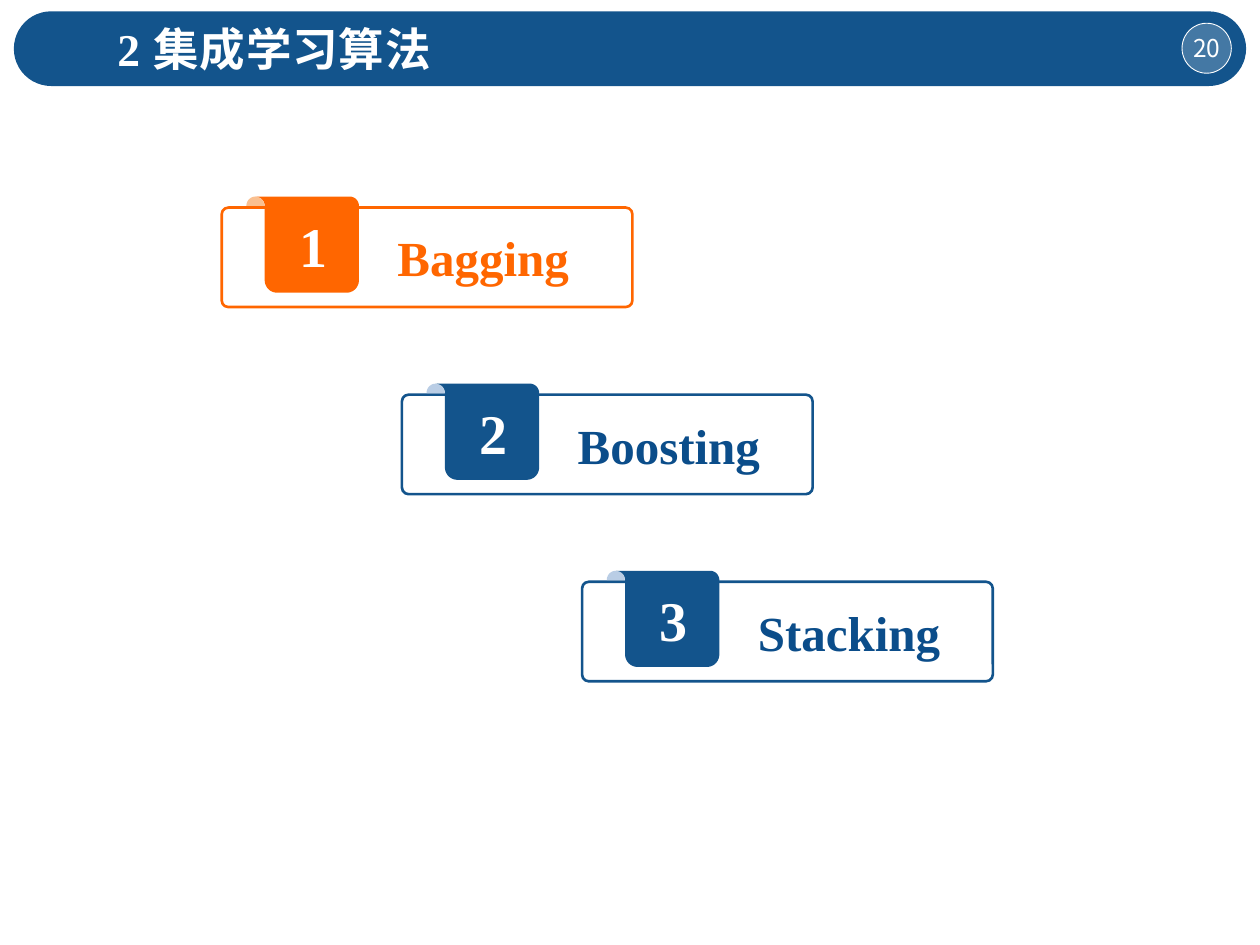
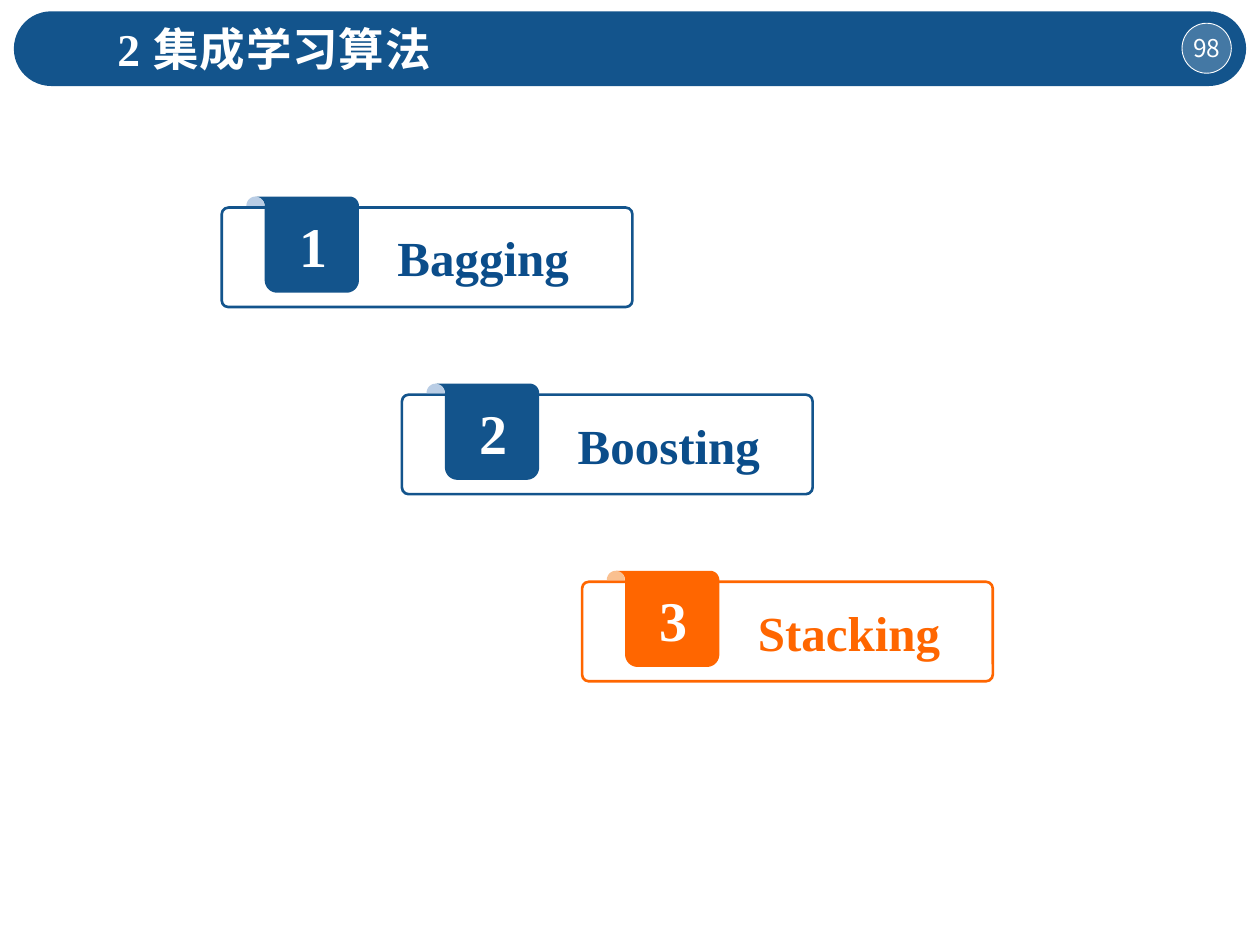
from dataclasses import dataclass
from math import cos, radians, sin

from lxml.etree import SubElement
from pptx import Presentation
from pptx.dml.color import RGBColor
from pptx.enum.shapes import MSO_SHAPE
from pptx.enum.text import MSO_ANCHOR, MSO_AUTO_SIZE, PP_ALIGN
from pptx.oxml.ns import qn
from pptx.util import Inches, Pt

BLUE, LABEL_BLUE, PALE_BLUE = "13548C", "0B4D8A", "B9CDE5"
ORANGE, PALE_ORANGE, WHITE = "FF6600", "FAC090", "FFFFFF"
LATIN_FONT, CHINESE_FONT = "Times New Roman", "Noto Sans CJK SC"

SECTION_TITLE = "2 集成学习算法"
METHODS = ["Bagging", "Boosting", "Stacking"]
# Outline and ribbon, label, curl
NORMAL = (BLUE, LABEL_BLUE, PALE_BLUE)
ACTIVE = (ORANGE, ORANGE, PALE_ORANGE)


@dataclass
class Box:
    left: float
    top: float
    width: float
    height: float

    def inner(self, x, y, width, height):
        """Return an inner box given as shares of this one."""
        return Box(self.left + x * self.width, self.top + y * self.height,
                   width * self.width, height * self.height)

    def lengths(self):
        return [Inches(v) for v in (self.left, self.top, self.width, self.height)]


PAGE = Box(0, 0, 10, 7.5)


def color(hex_string):
    return RGBColor.from_string(hex_string)


def paint(shape, fill, opacity=100, line=None, line_width=1):
    shape.shadow.inherit = False
    shape.fill.solid()
    shape.fill.fore_color.rgb = color(fill)
    if opacity < 100:
        fill_color = shape._element.spPr.find(qn("a:solidFill"))[0]
        SubElement(fill_color, qn("a:alpha"), val=str(opacity * 1000))
    if line:
        shape.line.color.rgb = color(line)
        shape.line.width = Pt(line_width)
    else:
        shape.line.fill.background()


def write(shape, text, size, ink=WHITE, font=LATIN_FONT, bold=True,
          align=PP_ALIGN.LEFT, anchor=MSO_ANCHOR.MIDDLE, wrap=True,
          margins=(0.1, 0.05, 0.1, 0.05)):
    frame = shape.text_frame
    frame.word_wrap = wrap
    frame.vertical_anchor = anchor
    (frame.margin_left, frame.margin_top,
     frame.margin_right, frame.margin_bottom) = [Inches(m) for m in margins]
    paragraph = frame.paragraphs[0]
    paragraph.text = text
    paragraph.alignment = align
    paragraph.font.size = Pt(size)
    paragraph.font.bold = bold
    paragraph.font.name = font
    paragraph.font.color.rgb = color(ink)
    defaults = paragraph._p.pPr.find(qn("a:defRPr"))
    SubElement(defaults, qn("a:ea"), typeface=CHINESE_FONT)
    return defaults


def arc(center_x, center_y, radius_x, radius_y, start, end, steps=12):
    """Points along an ellipse; angles run clockwise from the right."""
    angles = [radians(start + (end - start) * i / steps) for i in range(steps + 1)]
    return [(center_x + radius_x * cos(a), center_y + radius_y * sin(a)) for a in angles]


def add_outline(shapes, points, fill):
    points = [(Inches(x), Inches(y)) for x, y in points]
    builder = shapes.build_freeform(*points[0])
    builder.add_line_segments(points[1:], close=True)
    shape = builder.convert_to_shape()
    paint(shape, fill)
    return shape


def add_header(slide, box, number):
    # Rounded band
    band = slide.shapes.add_shape(MSO_SHAPE.ROUNDED_RECTANGLE, *box.lengths())
    band.adjustments[0] = 0.5
    paint(band, BLUE)

    # Page number badge
    badge = slide.shapes.add_shape(
        MSO_SHAPE.OVAL, *box.inner(0.948, 0.16, 0.04, 0.67).lengths())
    paint(badge, WHITE, opacity=21, line=WHITE, line_width=0.5)
    write(badge, str(number), 14, font=CHINESE_FONT, bold=False,
          align=PP_ALIGN.CENTER, wrap=False, margins=(0, 0, 0, 0))

    # Section title
    title = slide.shapes.add_textbox(*box.inner(0.074, 0.05, 0.759, 0.915).lengths())
    defaults = write(title, SECTION_TITLE, 26, anchor=MSO_ANCHOR.TOP)
    defaults.set("spc", "50")
    title.text_frame.auto_size = MSO_AUTO_SIZE.SHAPE_TO_FIT_TEXT


def add_ribbon(shapes, box, fill):
    fold, corner = 0.09 * box.width, 0.12 * box.width
    right, bottom = box.left + box.width, box.top + box.height
    low = bottom - corner
    points = [(box.left, box.top)]
    points += arc(right - fold, box.top + fold, fold, fold, 270, 360)
    points += arc(right - corner, low, corner, corner, 0, 90)
    points += arc(box.left + fold + corner, low, corner, corner, 90, 180)
    points += arc(box.left, box.top + fold, fold, fold, 360, 270)
    return add_outline(shapes, points, fill)


def add_method_card(slide, box, number, name, colors):
    main_color, label_color, curl_color = colors
    shapes = slide.shapes.add_group_shape().shapes

    # Framed label
    frame = shapes.add_shape(MSO_SHAPE.ROUNDED_RECTANGLE,
                             *box.inner(0, 0.1, 1, 0.9).lengths())
    frame.adjustments[0] = 0.067
    paint(frame, WHITE, opacity=75, line=main_color, line_width=1.5)
    write(frame, name, 28, label_color, margins=(1.38, 0.05, 0.1, 0.05))

    # Curl behind the ribbon
    curl = box.inner(0.06, 0, 0.044, 0.085)
    radius = curl.width / 2
    add_outline(shapes, arc(curl.left + radius, curl.top + curl.height,
                            radius, curl.height, 180, 360), curl_color)

    # Numbered ribbon
    ribbon = add_ribbon(shapes, box.inner(0.082, 0, 0.252, 0.87), main_color)
    write(ribbon, str(number), 32, align=PP_ALIGN.CENTER,
          margins=(0.2, 0.05, 0.1, 0.05))


def add_section_slide(presentation, page_number, active):
    slide = presentation.slides.add_slide(presentation.slide_layouts[6])
    add_header(slide, PAGE.inner(0.011, 0.012, 0.978, 0.079), page_number)
    # Cards step down to the right
    for i, name in enumerate(METHODS):
        card = PAGE.inner(0.176 + 0.143 * i, 0.208 + 0.198 * i, 0.326, 0.117)
        add_method_card(slide, card, i + 1, name, ACTIVE if name == active else NORMAL)


def main():
    presentation = Presentation()
    presentation.slide_width = Inches(PAGE.width)
    presentation.slide_height = Inches(PAGE.height)
    add_section_slide(presentation, 20, "Bagging")
    add_section_slide(presentation, 98, "Stacking")
    presentation.save("out.pptx")


if __name__ == "__main__":
    main()
